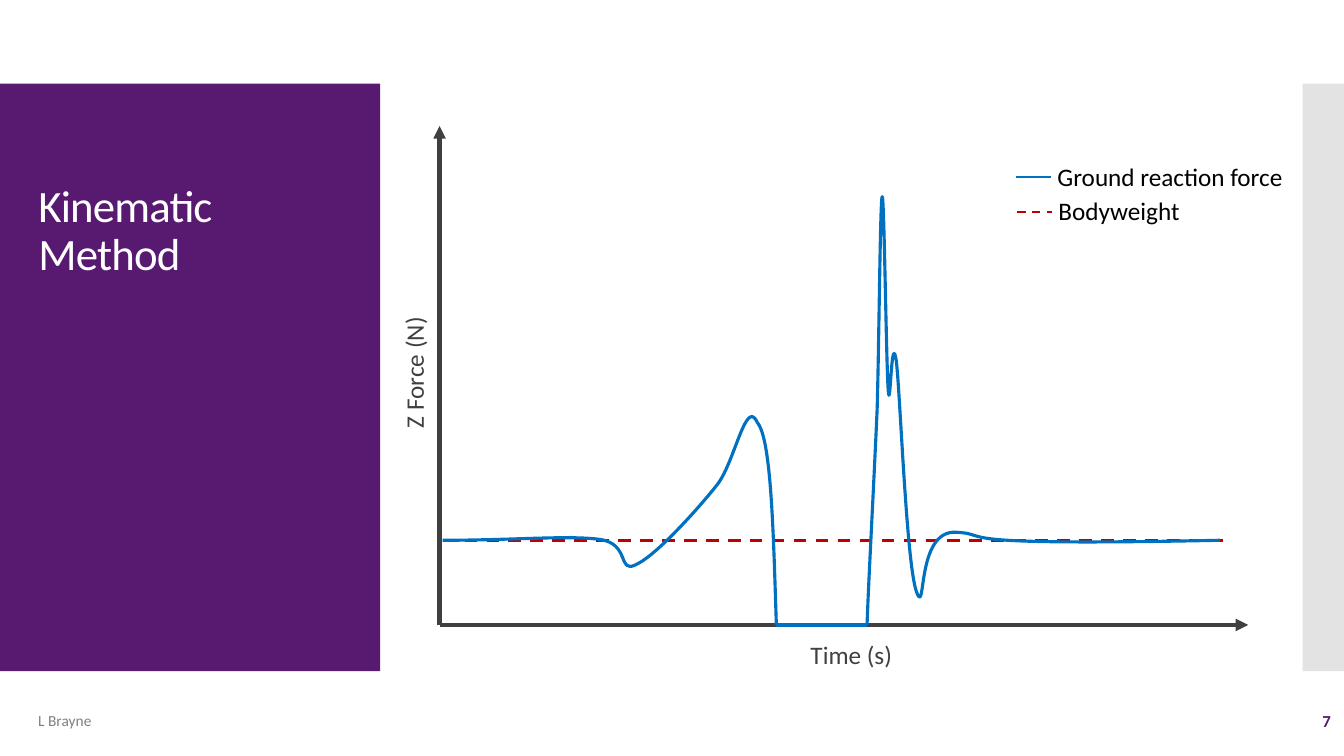
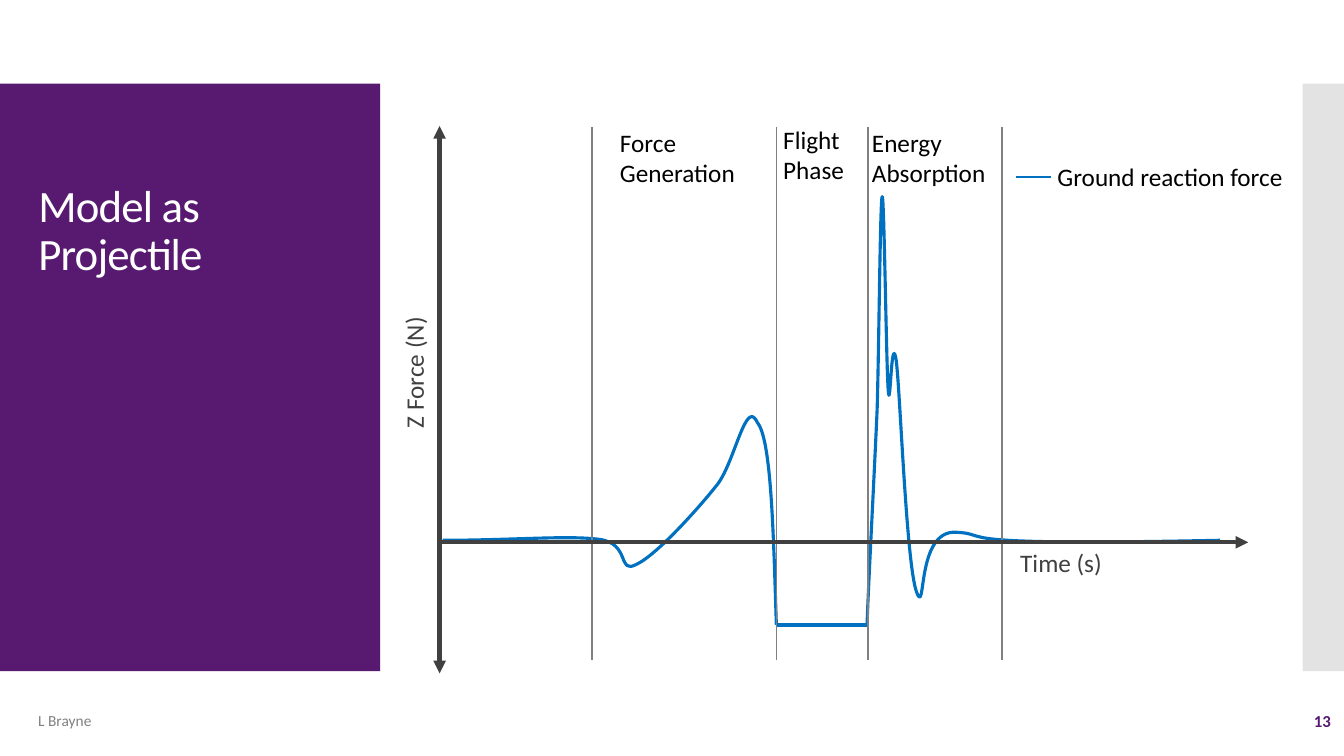
from dataclasses import dataclass

from lxml.etree import SubElement
from pptx import Presentation
from pptx.dml.color import RGBColor
from pptx.enum.dml import MSO_LINE
from pptx.enum.shapes import MSO_CONNECTOR, MSO_SHAPE
from pptx.enum.text import MSO_ANCHOR, MSO_AUTO_SIZE, PP_ALIGN
from pptx.oxml.ns import qn
from pptx.slide import Slide
from pptx.util import Emu, Pt

PX = 9144
WIDE, HIGH = 1333, 750
FONT = "Calibri"
HUES = {
    "panel": "571A70",
    "edge": "E3E3E3",
    "white": "FFFFFF",
    "foot": "808080",
    "axis": "404040",
    "text": "000000",
    "force": "0070C0",
    "weight": "C00000",
    "rule": "808080",
}


@dataclass(frozen=True)
class Label:
    """Text with its box, style and turn."""

    text: str
    left: int
    top: int
    width: int
    height: int = 40
    hue: str = "text"
    size: int = 18
    bold: bool = False
    align: PP_ALIGN = PP_ALIGN.LEFT
    anchor: MSO_ANCHOR = MSO_ANCHOR.TOP
    turn: int = 0


@dataclass(frozen=True)
class Line:
    """Straight line with its ends, style and arrowheads."""

    start: tuple[int, int]
    end: tuple[int, int]
    hue: str
    width: float
    dash: bool = False
    heads: tuple[str, ...] = ()


@dataclass(frozen=True)
class Band:
    """Filled block from the left edge given."""

    left: int
    width: int
    hue: str


@dataclass(frozen=True)
class Phase:
    """Named phase of the jump."""

    text: str
    left: int
    top: int
    width: int


BANDS = (Band(0, 377, "panel"), Band(1292, 42, "edge"))
AXIS_X, AXIS_END = 436, 1238
TOP, FLOOR = 125, 620
PUSH = (
    (439, 536), (509, 536), (562, 531), (594, 535), (626, 539), (612, 570),
    (631, 560), (651, 551), (694, 503), (712, 480), (729, 457), (740, 394),
    (751, 419), (765, 435), (767, 527), (770, 620),
)
LAND = (
    (860, 620), (861, 586), (867, 476), (870, 406), (872, 336), (873, 198),
    (875, 195), (877, 192), (879, 360), (881, 387), (883, 414), (884, 325),
    (889, 358), (893, 391), (899, 559), (909, 587), (919, 615), (908, 526),
    (948, 528), (988, 530), (924, 542), (1210, 536),
)
RULES = (587, 770, 861, 994)
PHASES = (
    Phase("Force Generation", 605, 121, 171),
    Phase("Flight Phase", 767, 118, 94),
    Phase("Energy Absorption", 855, 121, 171),
)


def color(hue: str) -> RGBColor:
    """Look up a colour by its role."""
    return RGBColor.from_string(HUES[hue])


def style(frame, note: Label) -> None:
    """Set the text of a frame and its font."""
    frame.text = note.text
    frame.word_wrap = True
    frame.auto_size = MSO_AUTO_SIZE.NONE
    frame.vertical_anchor = note.anchor
    para = frame.paragraphs[0]
    para.alignment = note.align
    font = para.font
    font.name, font.size, font.bold = FONT, Pt(note.size), note.bold
    font.color.rgb = color(note.hue)


def write(slide: Slide, note: Label) -> None:
    """Add a text box."""
    sides = (note.left, note.top, note.width, note.height)
    box = slide.shapes.add_textbox(*(Emu(side * PX) for side in sides))
    box.rotation = note.turn
    style(box.text_frame, note)


def draw(slide: Slide, line: Line) -> None:
    """Add a straight connector."""
    ends = (Emu(spot * PX) for spot in line.start + line.end)
    link = slide.shapes.add_connector(MSO_CONNECTOR.STRAIGHT, *ends)
    link.line.color.rgb = color(line.hue)
    link.line.width = Pt(line.width)
    if line.dash:
        link.line.dash_style = MSO_LINE.DASH
    props = link.element.spPr
    for head in line.heads:
        SubElement(props.find(qn("a:ln")), qn(f"a:{head}"), type="triangle")
    SubElement(props, qn("a:effectLst"))


def bend(curve, knots: tuple[tuple[int, int], ...]) -> None:
    """Turn the straight parts of a freeform into cubic curves."""
    left = min(x for x, _ in knots[::3])
    top = min(y for _, y in knots[::3])
    for place, part in enumerate(list(curve.element.iter(qn("a:lnTo")))):
        part.tag = qn("a:cubicBezTo")
        for spot in list(part):
            part.remove(spot)
        for x, y in knots[3 * place + 1:3 * place + 4]:
            SubElement(part, qn("a:pt"), x=str(x - left), y=str(y - top))


def plot(slide: Slide) -> None:
    """Draw the ground reaction force."""
    for knots in (PUSH, LAND):
        pen = slide.shapes.build_freeform(*knots[0], scale=PX)
        pen.add_line_segments(knots[3::3], close=False)
        curve = pen.convert_to_shape()
        bend(curve, knots)
        curve.shadow.inherit = False
        curve.fill.background()
        curve.line.color.rgb = color("force")
        curve.line.width = Pt(2.25)
    draw(slide, Line(PUSH[-1], LAND[0], "force", 2.25))


def axes(slide: Slide, base: int, low: int, heads: tuple[str, ...]) -> None:
    """Draw the upright and level axes."""
    draw(slide, Line((AXIS_X, low), (AXIS_X, TOP), "axis", 3, heads=heads))
    draw(slide, Line((AXIS_X, base), (AXIS_END, base), "axis", 3, heads=("tailEnd",)))


def names(slide: Slide, left: int, top: int) -> None:
    """Name both axes, with the time label at the given place."""
    write(slide, Label("Z Force (N)", 330, 334, 161, hue="axis", turn=270))
    write(slide, Label("Time (s)", left, top, 139, 64, "axis"))


def key(slide: Slide, text: str, left: int, mid: int, hue: str, dash: bool = False) -> None:
    """Add one legend entry."""
    draw(slide, Line((left, mid), (left + 34, mid), hue, 1.5, dash))
    write(slide, Label(text, left + 31, mid - 21, 280))


def force(slide: Slide) -> None:
    """Add the legend entry of the curve."""
    key(slide, "Ground reaction force", 1008, 176, "force")


def start(deck, title: str, number: int) -> Slide:
    """Add a slide with bands, title and footer."""
    slide = deck.slides.add_slide(deck.slide_layouts[5])
    shapes = slide.shapes
    for place, band in enumerate(BANDS, 2):
        sides = (band.left, 83, band.width, 583)
        block = shapes.add_shape(MSO_SHAPE.RECTANGLE, *(Emu(side * PX) for side in sides))
        block.shadow.inherit = False
        block.fill.solid()
        block.fill.fore_color.rgb = color(band.hue)
        block.line.fill.background()
        shapes.element.insert(place, block.element)
    head = shapes.title
    head.left, head.top, head.width, head.height = (
        Emu(side * PX) for side in (28, 125, 310, 158)
    )
    style(head.text_frame, Label(title, 28, 125, 310, 158, "white", 32, anchor=MSO_ANCHOR.BOTTOM))
    para = head.text_frame.paragraphs[0]
    para.line_spacing = 0.9
    para.font._element.set("spc", "-60")
    mid = MSO_ANCHOR.MIDDLE
    write(slide, Label("L Brayne", 28, 695, 692, 40, "foot", 11, anchor=mid))
    write(slide, Label(str(number), 1163, 695, 167, 40, "panel", 12, True, PP_ALIGN.RIGHT, mid))
    return slide


def method(deck) -> None:
    """Build the kinematic method slide."""
    slide = start(deck, "Kinematic Method", 7)
    axes(slide, FLOOR, FLOOR, ("tailEnd",))
    names(slide, 794, 629)
    force(slide)
    key(slide, "Bodyweight", 1009, 210, "weight", True)
    draw(slide, Line((439, 536), (1215, 536), "weight", 2.25, True))
    plot(slide)


def model(deck) -> None:
    """Build the projectile model slide."""
    slide = start(deck, "Model as Projectile", 13)
    plot(slide)
    force(slide)
    for phase in PHASES:
        write(slide, Label(phase.text, phase.left, phase.top, phase.width, 71))
    for left in RULES:
        draw(slide, Line((left, 126), (left, 655), "rule", 1))
    axes(slide, 538, 668, ("headEnd", "tailEnd"))
    names(slide, 1002, 538)


def main() -> None:
    """Build and save the deck."""
    deck = Presentation()
    deck.slide_width, deck.slide_height = Emu(WIDE * PX), Emu(HIGH * PX)
    method(deck)
    model(deck)
    deck.save("out.pptx")


if __name__ == "__main__":
    main()
